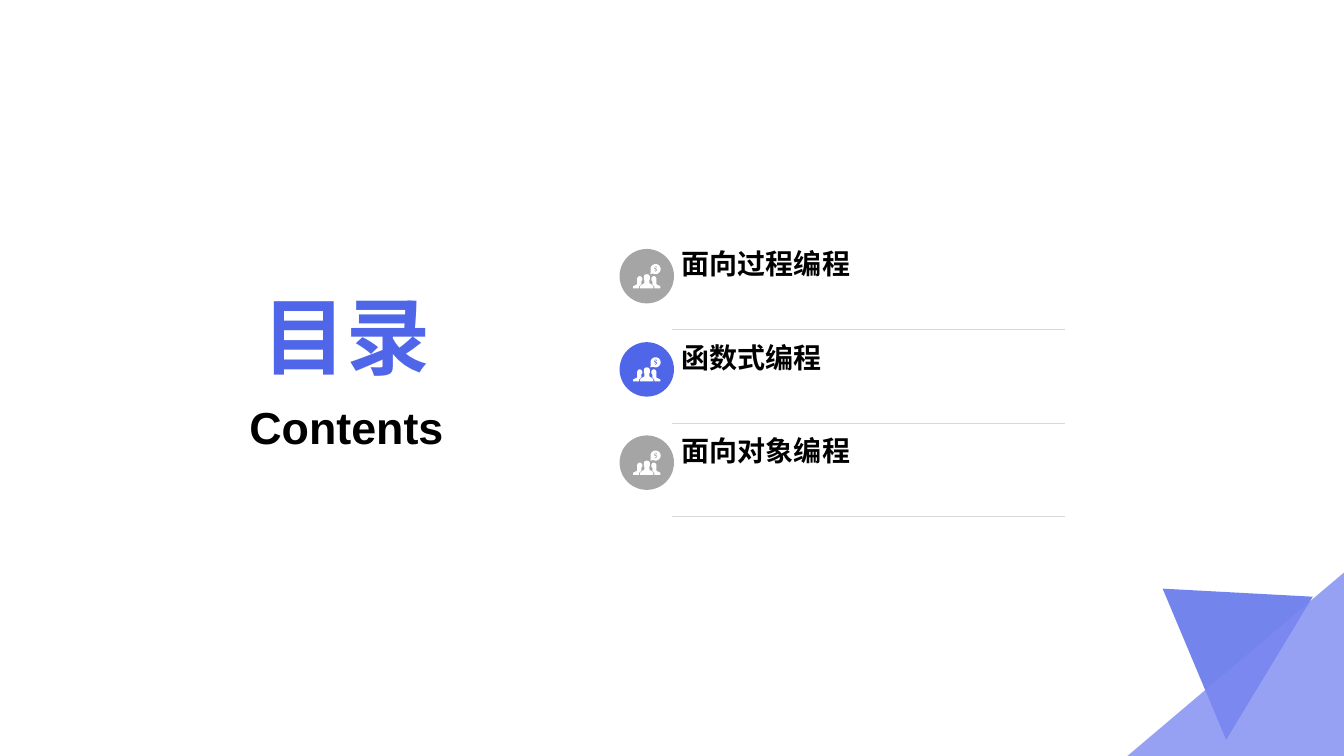
from math import cos, radians, sin

from lxml import etree
from pptx import Presentation
from pptx.dml.color import RGBColor
from pptx.enum.shapes import MSO_CONNECTOR, MSO_SHAPE
from pptx.enum.text import MSO_ANCHOR, PP_ALIGN
from pptx.oxml.ns import qn
from pptx.util import Inches, Pt

OVAL, STRAIGHT = MSO_SHAPE.OVAL, MSO_CONNECTOR.STRAIGHT
TOP, MIDDLE, BOTTOM = MSO_ANCHOR.TOP, MSO_ANCHOR.MIDDLE, MSO_ANCHOR.BOTTOM
LEFT, CENTER = PP_ALIGN.LEFT, PP_ALIGN.CENTER

THEME = {
    "font": "Arial", "accent": "5066E9", "accent_light": "7E8AF1", "muted": "A5A5A5",
    "rule": "D8D8D8", "text": "000000", "icon": "FFFFFF",
    "title": 60, "subtitle": 32, "item": 20,
}
W, H = 13.34, 7.5

prs = Presentation()
prs.slide_width, prs.slide_height = Inches(W), Inches(H)
s = prs.slides.add_slide(prs.slide_layouts[6])


def add_outline(contours, color, left=0, top=0, unit=1, alpha=100):
    """Filled freeform; contour points are in units of the given inches."""
    scaled = [[(Inches(x * unit), Inches(y * unit)) for x, y in c] for c in contours]
    fb = s.shapes.build_freeform(*scaled[0][0])
    for i, pts in enumerate(scaled):
        if i:
            fb.move_to(*pts[0])
        fb.add_line_segments(pts[1:], close=True)
    sp = fb.convert_to_shape(Inches(left), Inches(top))
    sp.shadow.inherit = False
    sp.fill.solid()
    sp.fill.fore_color.rgb = RGBColor.from_string(THEME[color])
    sp.line.fill.background()
    if alpha < 100:
        clr = sp._element.spPr.find(qn("a:solidFill"))[0]
        etree.SubElement(clr, qn("a:alpha")).set("val", str(alpha * 1000))


def add_text(text, box, size, color, anchor, align, bottom=0.05):
    tf = s.shapes.add_textbox(*map(Inches, box)).text_frame
    frame = {"word_wrap": True, "vertical_anchor": anchor, "margin_bottom": Inches(bottom)}
    for name, value in frame.items():
        setattr(tf, name, value)
    p = tf.paragraphs[0]
    p.alignment = align
    r = p.add_run()
    r.text = text
    for name, value in {"name": THEME["font"], "size": Pt(THEME[size]), "bold": True}.items():
        setattr(r.font, name, value)
    r.font.color.rgb = RGBColor.from_string(THEME[color])


# Corner triangles
add_outline([[(13.03, 5.92), (12.17, 7.34), (11.54, 5.84)]], "accent", alpha=80)
add_outline([[(W, H), (11.19, H), (W, 5.68)]], "accent_light", alpha=80)

# Icon outlines in hundredths of an inch: three people, a speech bubble, a dollar sign
ICON_W = 27
side = [(0, 24), (0, 22), (1, 21.5), (4, 20), (4, 14), (5, 12.5), (6, 12), (7, 12),
        (8, 12.5), (9, 14), (9, 16), (8, 17), (8, 20), (7, 21), (6, 22), (6, 24)]
half = [(13.5, 10), (11.5, 10.5), (10.5, 12), (10.5, 15), (11, 16), (11, 19),
        (8.5, 20.5), (7, 22), (7, 24)]
other_side = [(ICON_W - x, y) for x, y in side]
middle = half + [(ICON_W - x, y) for x, y in reversed(half)]
bubble = [(17, 10)] + [(22.2 + 5 * cos(radians(a)), 5 + 5 * sin(radians(a)))
                       for a in range(-200, 121, 10)]
dollar = [(22, 2), (22.6, 2), (24, 3.2), (23.2, 3.6), (22.3, 3), (21.6, 3.7), (23.6, 5),
          (23.6, 6.6), (22.6, 7.2), (22.6, 8), (22, 8), (22, 7.2), (20.6, 6.4), (21.2, 6),
          (22.2, 6.5), (22.8, 5.9), (20.8, 4.7), (20.8, 3.3), (22, 2.7)]
people_icon = [side, other_side, middle, bubble, dollar]

# Agenda rows
ROW_TOP, ROW_H = 2.345, 0.925
ICON_X, TEXT_X, TEXT_W, DISC = 6.15, 6.67, 3.9, 0.54
items = [("面向过程编程", "muted"), ("函数式编程", "accent"), ("面向对象编程", "muted")]
for i, (label, disc_color) in enumerate(items):
    y = ROW_TOP + i * ROW_H
    sp = s.shapes.add_shape(OVAL, *map(Inches, (ICON_X, y + 0.125, DISC, DISC)))
    sp.shadow.inherit = False
    sp.fill.solid()
    sp.fill.fore_color.rgb = RGBColor.from_string(THEME[disc_color])
    sp.line.fill.background()
    add_outline(people_icon, "icon", ICON_X + 0.135, y + 0.275, 0.01)
    add_text(label, (TEXT_X, y + 0.035, TEXT_W, 0.42), "item", "text", MIDDLE, LEFT, 0)

    rule_y = y + ROW_H
    rule = s.shapes.add_connector(
        STRAIGHT, *map(Inches, (TEXT_X, rule_y, TEXT_X + TEXT_W, rule_y)))
    rule.line.color.rgb = RGBColor.from_string(THEME["rule"])
    rule.line.width = Pt(0.25)
    etree.SubElement(rule._element.spPr, qn("a:effectLst"))

# Heading
add_text("目录", (2.09, 2.62, 2.7, 1.25), "title", "accent", BOTTOM, CENTER)
add_text("Contents", (2.09, 3.92, 2.7, 0.55), "subtitle", "text", TOP, CENTER)

prs.save("out.pptx")
